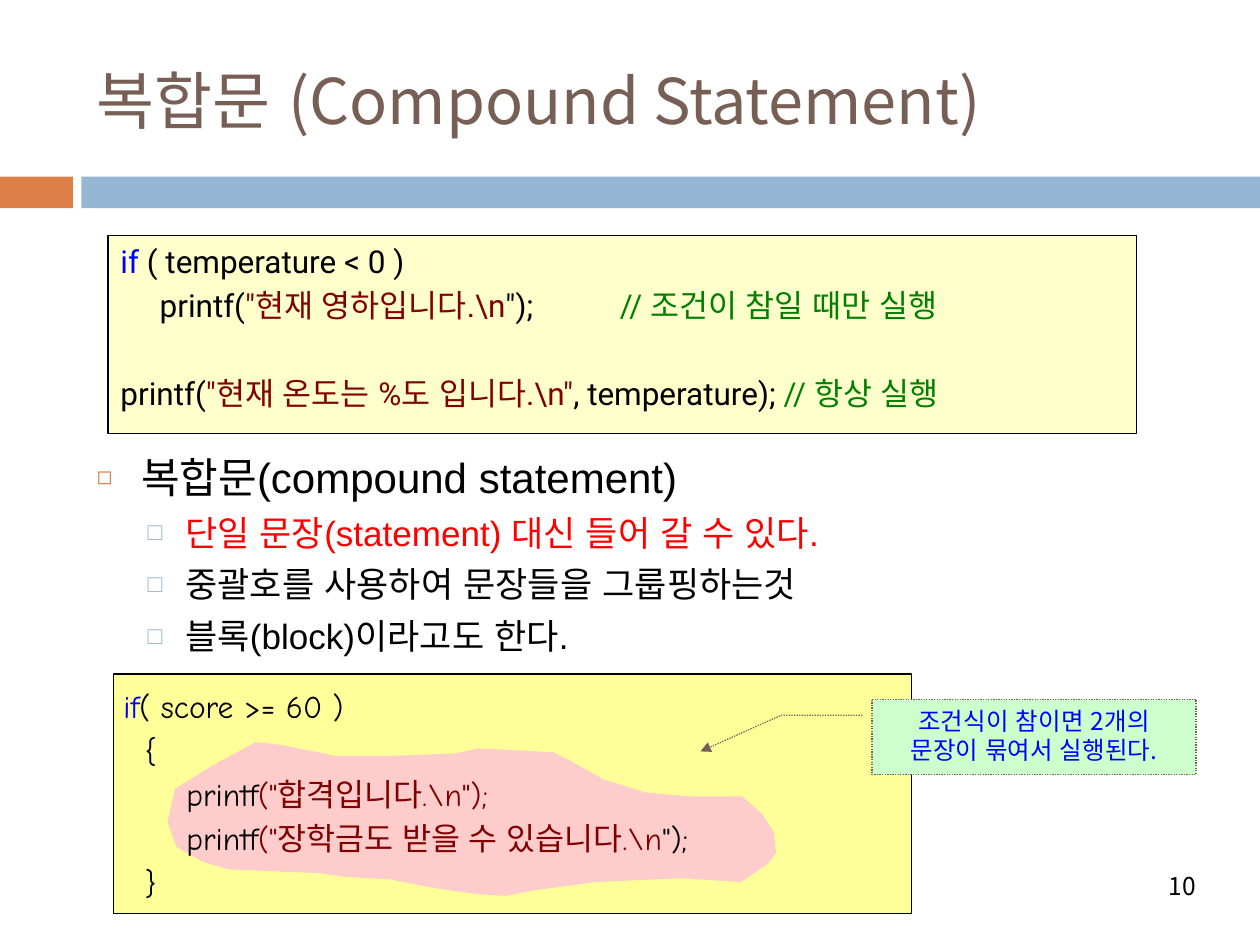
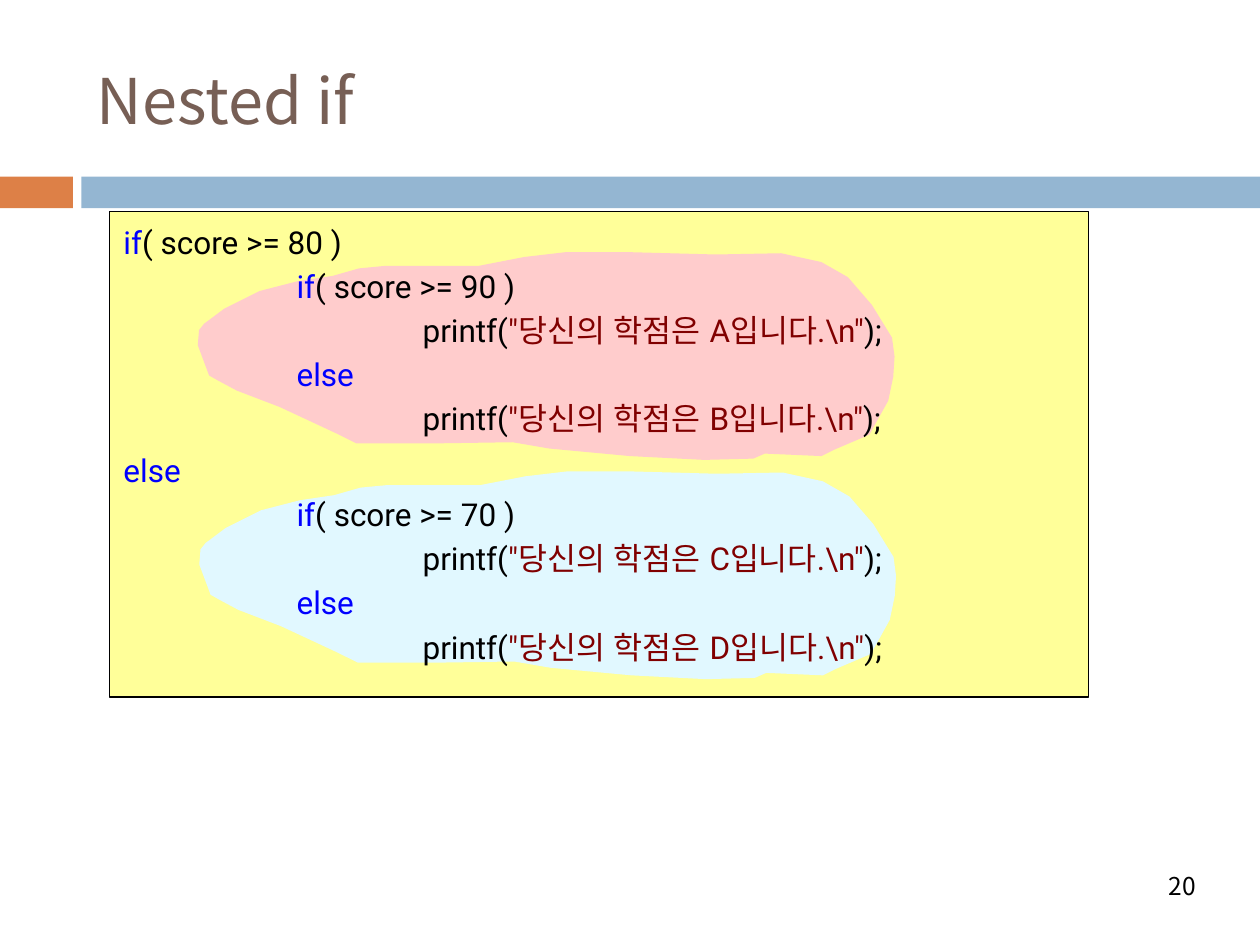
"""Build two lecture slides on compound statements and nested if in C."""
from lxml.etree import SubElement
from pptx import Presentation
from pptx.dml.color import RGBColor
from pptx.enum.dml import MSO_LINE
from pptx.enum.shapes import MSO_SHAPE as Preset
from pptx.enum.text import MSO_ANCHOR as Anchor, MSO_AUTO_SIZE as AutoSize, PP_ALIGN as Align
from pptx.oxml.ns import qn
from pptx.util import Cm, Pt

BLACK = RGBColor(0x00, 0x00, 0x00)
BLUE = RGBColor(0x00, 0x00, 0xFF)
MAROON = RGBColor(0x80, 0x00, 0x00)
GREEN = RGBColor(0x00, 0x80, 0x00)
RED = RGBColor(0xFF, 0x00, 0x00)
BROWN = RGBColor(0x77, 0x5F, 0x55)
ORANGE = RGBColor(0xDD, 0x80, 0x47)
STEEL = RGBColor(0x94, 0xB6, 0xD2)
YELLOW = RGBColor(0xFF, 0xFF, 0x99)
CREAM = RGBColor(0xFF, 0xFF, 0xCC)
MINT = RGBColor(0xCC, 0xFF, 0xCC)
PINK = RGBColor(0xFF, 0xCC, 0xCC)
ICE = RGBColor(0xE1, 0xF8, 0xFF)
KOREAN_FONT = "Noto Sans CJK KR"
EAST_ASIAN_FONT = "Arial"

COMPOUND_OUTLINE = [
    (139, 626), (168, 608), (203, 589), (222, 591), (267, 600), (308, 600), (361, 598),
    (380, 594), (439, 597), (451, 603), (480, 619), (513, 629), (547, 632), (589, 632),
    (605, 646), (614, 660), (616, 677), (609, 686), (588, 700), (540, 697), (474, 700),
    (428, 706), (401, 711), (382, 710), (346, 705), (310, 698), (275, 696), (253, 693),
    (182, 690), (161, 684), (140, 672), (135, 658), (133, 652)]
NESTED_OUTLINE = [
    (162, 257), (178, 245), (206, 231), (237, 223), (264, 219), (285, 213), (306, 211),
    (380, 211), (416, 204), (450, 200), (495, 200), (568, 202), (620, 201), (652, 208),
    (673, 220), (692, 242), (708, 268), (710, 283), (709, 299), (705, 318), (690, 345),
    (662, 357), (652, 362), (607, 360), (598, 364), (559, 365), (500, 362), (436, 356),
    (407, 351), (340, 352), (283, 352), (267, 344), (222, 323), (188, 310), (173, 302),
    (166, 298), (157, 274), (158, 262)]


def add_run(paragraph, text, font_name, size, color):
    """Add one formatted run and return it."""
    run = paragraph.add_run()
    run.text = text
    run.font.name = font_name
    run.font.size = Pt(size)
    run.font.color.rgb = color
    SubElement(run._r.get_or_add_rPr(), qn("a:ea"), typeface=EAST_ASIAN_FONT)
    return run


def add_code(text_frame, lines, font_name):
    """Write code lines, each an indent followed by coloured runs."""
    text_frame.word_wrap = True
    text_frame.vertical_anchor = Anchor.TOP
    for number, (indent, *runs) in enumerate(lines):
        paragraph = text_frame.add_paragraph() if number else text_frame.paragraphs[0]
        paragraph.alignment = Align.LEFT
        paragraph.space_before = Pt(3.6)
        paragraph._p.get_or_add_pPr().set("indent", str(Cm(indent)))
        for text, color in runs:
            add_run(paragraph, text, font_name, 18, color)


presentation = Presentation()
presentation.slide_width, presentation.slide_height = Cm(25.4), Cm(19.05)
compound = presentation.slides.add_slide(presentation.slide_layouts[1])
nested = presentation.slides.add_slide(presentation.slide_layouts[5])

for slide, title_text, page in ((compound, "복합문 (Compound Statement)", "10"),
                                (nested, "Nested if", "20")):
    for left, width, color in ((0, 1.47, ORANGE), (1.64, 23.76, STEEL)):
        band = slide.shapes.add_shape(Preset.RECTANGLE, Cm(left), Cm(3.56), Cm(width), Cm(0.64))
        band.shadow.inherit = False
        band.fill.solid()
        band.fill.fore_color.rgb = color
        band.line.fill.background()

    title = slide.shapes.title
    title.left, title.top, title.width, title.height = Cm(1.7), Cm(0.64), Cm(22.66), Cm(2.74)
    title.text_frame.auto_size = AutoSize.NONE
    number_box = slide.shapes.add_textbox(Cm(17.3), Cm(17.35), Cm(7.06), Cm(1.02))
    number_box.text_frame.word_wrap = True
    for frame, text, size, color, alignment in (
            (title.text_frame, title_text, 36, BROWN, Align.LEFT),
            (number_box.text_frame, page, 14, BLACK, Align.RIGHT)):
        frame.vertical_anchor = Anchor.MIDDLE
        frame.paragraphs[0].alignment = alignment
        add_run(frame.paragraphs[0], text, KOREAN_FONT, size, color)

code_boxes = []
for slide, left, top, width, height, color in (
        (compound, 2.18, 4.75, 20.73, 3.99, CREAM),
        (compound, 2.29, 13.59, 16.08, 4.83, YELLOW),
        (nested, 2.21, 4.27, 19.74, 9.78, YELLOW)):
    box = slide.shapes.add_shape(Preset.RECTANGLE, Cm(left), Cm(top), Cm(width), Cm(height))
    box.shadow.inherit = False
    box.fill.solid()
    box.fill.fore_color.rgb = color
    box.line.color.rgb = BLACK
    box.line.width = Pt(0.75)
    code_boxes.append(box)

temperature_frame = code_boxes[0].text_frame
add_code(temperature_frame, [
    (0, ("if", BLUE), (" ( temperature < 0 )", BLACK)),
    (0.79, ("printf(", BLACK), ('"현재 영하입니다.\\n', MAROON), ('");', BLACK), (" ", BLACK),
     ("// 조건이 참일 때만 실행", GREEN)),
    (0, ("printf(", BLACK), ('"현재 온도는 %도 입니다.\\n"', MAROON),
     (", temperature); ", BLACK), ("// 항상 실행", GREEN)),
], "Roboto")
temperature_frame.paragraphs[2].space_before = Pt(29)
comment_gap = temperature_frame.paragraphs[1].runs[3]
comment_gap._r.get_or_add_rPr().set("spc", "4500")

body = compound.placeholders[1]
body.left, body.top, body.width, body.height = Cm(1.7), Cm(8.97), Cm(22.66), Cm(7.98)
body.text_frame.auto_size = AutoSize.NONE
bullet_styles = [(24, 7, 0.89, 0.89, "◻", ORANGE, 60), (20, 5.5, 1.78, 0.76, "□", STEEL, 70)]
for number, (level, text, color) in enumerate((
        (0, "복합문(compound statement)", BLACK),
        (1, "단일 문장(statement) 대신 들어 갈 수 있다.", RED),
        (1, "중괄호를 사용하여 문장들을 그룹핑하는것", BLACK),
        (1, "블록(block)이라고도 한다.", BLACK))):
    size, gap, margin, hanging, bullet, bullet_color, percent = bullet_styles[level]
    paragraph = body.text_frame.add_paragraph() if number else body.text_frame.paragraphs[0]
    paragraph.level = level
    paragraph.space_before = Pt(gap)
    properties = paragraph._p.get_or_add_pPr()
    properties.set("marL", str(Cm(margin)))
    properties.set("indent", str(-Cm(hanging)))
    SubElement(SubElement(properties, qn("a:buClr")), qn("a:srgbClr"), val=str(bullet_color))
    SubElement(properties, qn("a:buSzPct"), val=str(percent * 1000))
    SubElement(properties, qn("a:buChar"), char=bullet)
    add_run(paragraph, text, "Arial", size, color)

callout = compound.shapes.add_shape(Preset.LINE_CALLOUT_2, Cm(17.58), Cm(14.1), Cm(6.53), Cm(1.52))
for number, value in enumerate((0.21, -0.03, 0.21, -0.28, 0.69, -0.53)):
    callout.adjustments[number] = value
callout.shadow.inherit = False
callout.fill.solid()
callout.fill.fore_color.rgb = MINT
callout.line.color.rgb = BROWN
callout.line.width = Pt(0.75)
callout.line.dash_style = MSO_LINE.ROUND_DOT
SubElement(callout.line._get_or_add_ln(), qn("a:tailEnd"), type="triangle")
callout.text_frame.word_wrap = True
callout.text_frame.vertical_anchor = Anchor.TOP
callout.text_frame.paragraphs[0].alignment = Align.CENTER
add_run(callout.text_frame.paragraphs[0], "조건식이 참이면 2개의 문장이 묶여서 실행된다.",
        KOREAN_FONT, 14, BLUE)

for slide, outline, left, top, color in (
        (compound, COMPOUND_OUTLINE, 0, 0, PINK),
        (nested, NESTED_OUTLINE, 0, 0, PINK),
        (nested, NESTED_OUTLINE, 0.03, 4.42, ICE)):
    builder = slide.shapes.build_freeform(*outline[0], scale=Cm(2.54) / 100)
    builder.add_line_segments(outline[1:], close=True)
    blob = builder.convert_to_shape(Cm(left), Cm(top))
    blob.shadow.inherit = False
    blob.fill.solid()
    blob.fill.fore_color.rgb = color
    blob.line.fill.background()

score_box = compound.shapes.add_textbox(Cm(2.24), Cm(13.72), Cm(16.08), Cm(4.83))
add_code(score_box.text_frame, [
    (0, ("if", BLUE), ("( score >= 60 )", BLACK)),
    (0.43, ("{", BLACK)),
    (1.27, ("printf", BLACK), ('("합격입니다.\\n");', MAROON)),
    (1.27, ("printf", BLACK), ('("장학금도 받을 수 있습니다.\\n', MAROON), ('");', BLACK)),
    (0.43, ("}", BLACK)),
], "Comic Neue")

for top, opening, score, grades in (
        (4.37, [("if", BLUE), ("( score >= 80 )", BLACK)], 90, "AB"),
        (8.97, [("else", BLUE)], 70, "CD")):
    first_print, second_print = [
        (6.03, ("printf(", BLACK), (f'"당신의 학점은 {grade}입니다.\\n"', MAROON), (");", BLACK))
        for grade in grades]
    grade_box = nested.shapes.add_textbox(Cm(2.24), Cm(top), Cm(19.74), Cm(4.88))
    add_code(grade_box.text_frame, [
        (0, *opening),
        (3.49, ("if", BLUE), (f"( score >= {score} )", BLACK)),
        first_print,
        (3.49, ("else", BLUE)),
        second_print,
    ], "Roboto")

presentation.save("out.pptx")
